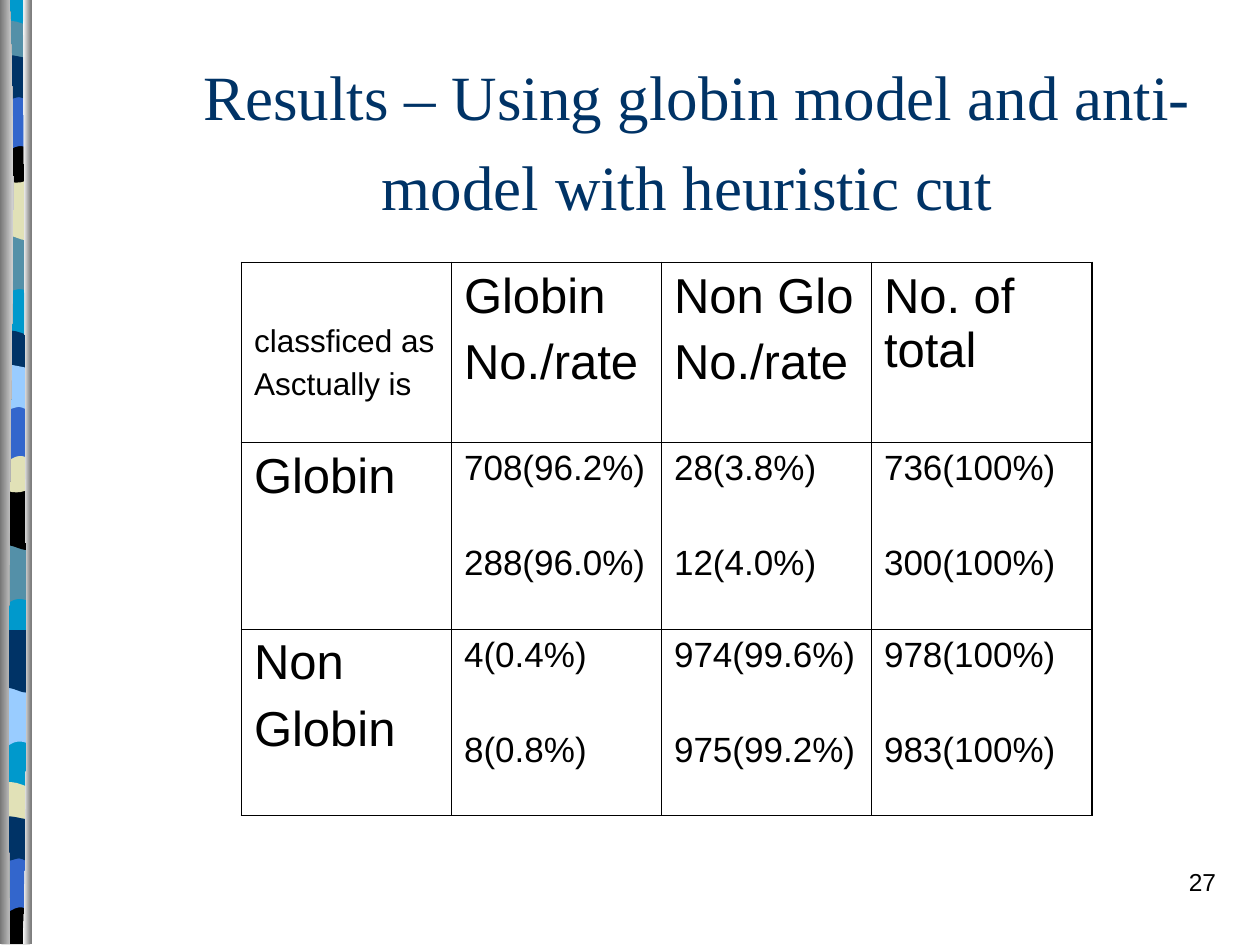
from dataclasses import dataclass

from lxml import etree
from pptx import Presentation
from pptx import util as u
from pptx.dml import color
from pptx.enum import text
from pptx.oxml import ns

Pt = u.Pt


@dataclass(frozen=True)
class Theme:
    navy: str = "003366"
    blue: str = "3366CC"
    sky: str = "99CCFF"
    cyan: str = "0099CC"
    teal: str = "5490A8"
    sand: str = "E1E1B7"
    black: str = "000000"
    grey: str = "767676"
    white: str = "FFFFFF"
    title_font: str = "Times New Roman"
    body_font: str = "Arial"
    title_size: int = 36
    title_end_size: int = 44
    head_size: int = 28
    value_size: int = 20
    corner_size: int = 18
    number_size: int = 14


T = Theme()
LEFT, RIGHT = 0.8, 17.3

# Band outlines: a pair is a line end, a triple of pairs is a Bezier curve.
BANDS = {
    "swell": [(RIGHT, 0), (RIGHT, 34), ((6, 28), (4, 39.5), (LEFT, 34)), (LEFT, 0)],
    "dip": [(RIGHT, 0), (RIGHT, 34), ((15, 39.5), (6, 30), (LEFT, 34)), (LEFT, 0)],
    "lens": [(RIGHT, 3.5), (RIGHT, 21), ((15, 24), (4, 24), (LEFT, 21)), (LEFT, 3.5),
             ((2, 0), (4, 0.5), (7, 0.5)), ((10, 0.5), (15, 3), (RIGHT, 3.5))],
    "bowl": [(RIGHT, 0), (RIGHT, 23), ((15, 27.5), (4, 27.5), (LEFT, 23)), (LEFT, 0),
             ((11, 3.5), (14, 0), (RIGHT, 0))],
    "arch": [(RIGHT, 0), (RIGHT, 34), ((15, 30), (13.5, 30), (11, 30)),
             ((8, 30), (4, 34), (LEFT, 34)), (LEFT, 0)],
    "ribbon": [(RIGHT, 3.5), (RIGHT, 26), ((16.5, 29.5), (13.5, 26), (11, 26)),
               ((8, 26), (3, 29.5), (LEFT, 26)), (LEFT, 3.5),
               ((3, 0), (12, 3.5), (15, 3.5)), ((18, 3.5), (RIGHT, 3.5), (RIGHT, 3.5))],
    "foot": [(RIGHT, 0), (RIGHT, 26.5), (LEFT, 26.5), (LEFT, 0),
             ((11, 3.5), (14, 0), (RIGHT, 0))],
}
BAND_TOP = {"swell": 133, "dip": 101.5, "lens": 11.5, "bowl": 78,
            "arch": 53.5, "ribbon": 29.5, "foot": 78}
# Each repeat of the pattern: downward shift, then bands from back to front.
REPEATS = [
    (0, {"swell": T.teal, "dip": T.sand, "lens": T.teal,
         "bowl": T.black, "arch": T.blue, "ribbon": T.navy}),
    (177, {"swell": T.teal, "dip": T.black, "lens": T.navy,
           "bowl": T.sand, "arch": T.blue, "ribbon": T.sky}),
    (258.5, {"swell": T.sky, "dip": T.navy}),
    (435, {"lens": T.sand, "foot": T.black, "arch": T.blue, "ribbon": T.navy}),
]


def join_curves(sp, outline):
    """Replace the three straight legs that stand for each curve by one Bezier."""
    legs = iter(sp._element.findall(".//" + ns.qn("a:lnTo")))
    for part in outline[1:]:
        leg = next(legs)
        if isinstance(part[0], tuple):
            curve = etree.Element(ns.qn("a:cubicBezTo"))
            leg.addprevious(curve)
            for piece in (leg, next(legs), next(legs)):
                curve.append(piece[0])
                piece.getparent().remove(piece)


def add_outline(slide, outline, fill, top=0):
    """Draw a closed outline; fill is one colour or a left-to-right pair."""
    points = []
    for part in outline:
        points.extend(part if isinstance(part[0], tuple) else [part])
    points = [(Pt(x), Pt(y + top)) for x, y in points]
    builder = slide.shapes.build_freeform(*points[0])
    builder.add_line_segments(points[1:], close=True)
    sp = builder.convert_to_shape()
    join_curves(sp, outline)
    sp.shadow.inherit = False
    sp.line.fill.background()
    if isinstance(fill, tuple):
        sp.fill.gradient()
        sp.fill.gradient_angle = 0
        for stop, rgb, place in zip(sp.fill.gradient_stops, fill, (0, 1)):
            stop.color.rgb = color.RGBColor.from_string(rgb)
            stop.position = place
    else:
        sp.fill.solid()
        sp.fill.fore_color.rgb = color.RGBColor.from_string(fill)


def add_side_strip(slide):
    add_outline(slide, [(RIGHT, -0.5), (RIGHT, 538), (LEFT, 538), (LEFT, -0.5)], T.cyan)
    for shift, bands in REPEATS:
        for name, fill in bands.items():
            add_outline(slide, BANDS[name], fill, BAND_TOP[name] + shift)
    add_outline(slide, [(5.5, -0.5), ((11, 155.5), (3, 213), (5.5, 539.5)),
                        (0, 539.5), (0, -0.5)], (T.grey, T.white))
    add_outline(slide, [(13.5, -0.5), ((13, 90), (17.5, 465), (13, 539.5)),
                        (18, 539.5), (18, 0)], (T.white, T.grey))


def add_run(p, words, size, font=T.body_font, rgb=T.black):
    r = p.add_run()
    r.text = words
    r.font.size = Pt(size)
    r.font.name = font
    r.font.color.rgb = color.RGBColor.from_string(rgb)


def add_text_box(slide, left, top, width, height, align, anchor):
    """Add an empty text box and return its first paragraph."""
    tf = slide.shapes.add_textbox(Pt(left), Pt(top), Pt(width), Pt(height)).text_frame
    tf.word_wrap = True
    tf.vertical_anchor = anchor
    p = tf.paragraphs[0]
    p.alignment = align
    return p


def set_borders(cell, widths):
    """Set left, right, top and bottom line widths."""
    tc_pr = cell._tc.get_or_add_tcPr()
    for i, (side, width) in enumerate(zip(("L", "R", "T", "B"), widths)):
        ln = etree.Element(ns.qn(f"a:ln{side}"), w=str(Pt(width)))
        fill = etree.SubElement(ln, ns.qn("a:solidFill"))
        etree.SubElement(fill, ns.qn("a:srgbClr"), val=T.black)
        tc_pr.insert(i, ln)


def fill_cell(cell, lines, size, gap):
    cell.fill.background()
    tf = cell.text_frame
    for i, line in enumerate(lines):
        p = tf.add_paragraph() if i else tf.paragraphs[0]
        if i:
            p.space_before = Pt(gap)
        add_run(p, line, size)


def add_results_table(slide):
    rows = [
        [["classficed as", "Asctually is"], ["Globin", "No./rate"],
         ["Non Glo", "No./rate"], ["No. of total"]],
        [["Globin"], ["708(96.2%)", "288(96.0%)"], ["28(3.8%)", "12(4.0%)"],
         ["736(100%)", "300(100%)"]],
        [["Non", "Globin"], ["4(0.4%)", "8(0.8%)"], ["974(99.6%)", "975(99.2%)"],
         ["978(100%)", "983(100%)"]],
    ]
    widths, heights = (120, 120, 120, 126), (103, 106.5, 106.5)
    outer, inner = 1.08, 0.45
    table = slide.shapes.add_table(len(heights), len(widths), Pt(138), Pt(150),
                                   Pt(sum(widths)), Pt(sum(heights))).table
    table.first_row = table.horz_banding = False
    for column, width in zip(table.columns, widths):
        column.width = Pt(width)
    for row, height in zip(table.rows, heights):
        row.height = Pt(height)
    for i, row in enumerate(rows):
        for j, lines in enumerate(row):
            cell = table.cell(i, j)
            if i == j == 0:
                size, gap = T.corner_size, 4.5
                cell.margin_top = Pt(35)
            elif i == 0 or j == 0:
                size, gap = T.head_size, 7
            else:
                size, gap = T.value_size, 32
            fill_cell(cell, lines, size, gap)
            at_edge = (j == 0, j == len(widths) - 1, i == 0, i == len(heights) - 1)
            set_borders(cell, [outer if edge else inner for edge in at_edge])


def main():
    prs = Presentation()
    prs.slide_width, prs.slide_height = Pt(720), Pt(540)
    slide = prs.slides.add_slide(prs.slide_layouts[6])
    add_side_strip(slide)
    title = add_text_box(slide, 92.25, 36, 612, 90,
                         text.PP_ALIGN.CENTER, text.MSO_ANCHOR.MIDDLE)
    add_run(title, "Results – Using globin model and anti-model with heuristic cut",
            T.title_size, T.title_font, T.navy)
    add_run(title, " ", T.title_end_size, T.title_font, T.navy)
    add_results_table(slide)
    number = add_text_box(slide, 552, 492, 150, 36, text.PP_ALIGN.RIGHT, text.MSO_ANCHOR.TOP)
    add_run(number, "27", T.number_size)
    prs.save("out.pptx")


if __name__ == "__main__":
    main()
